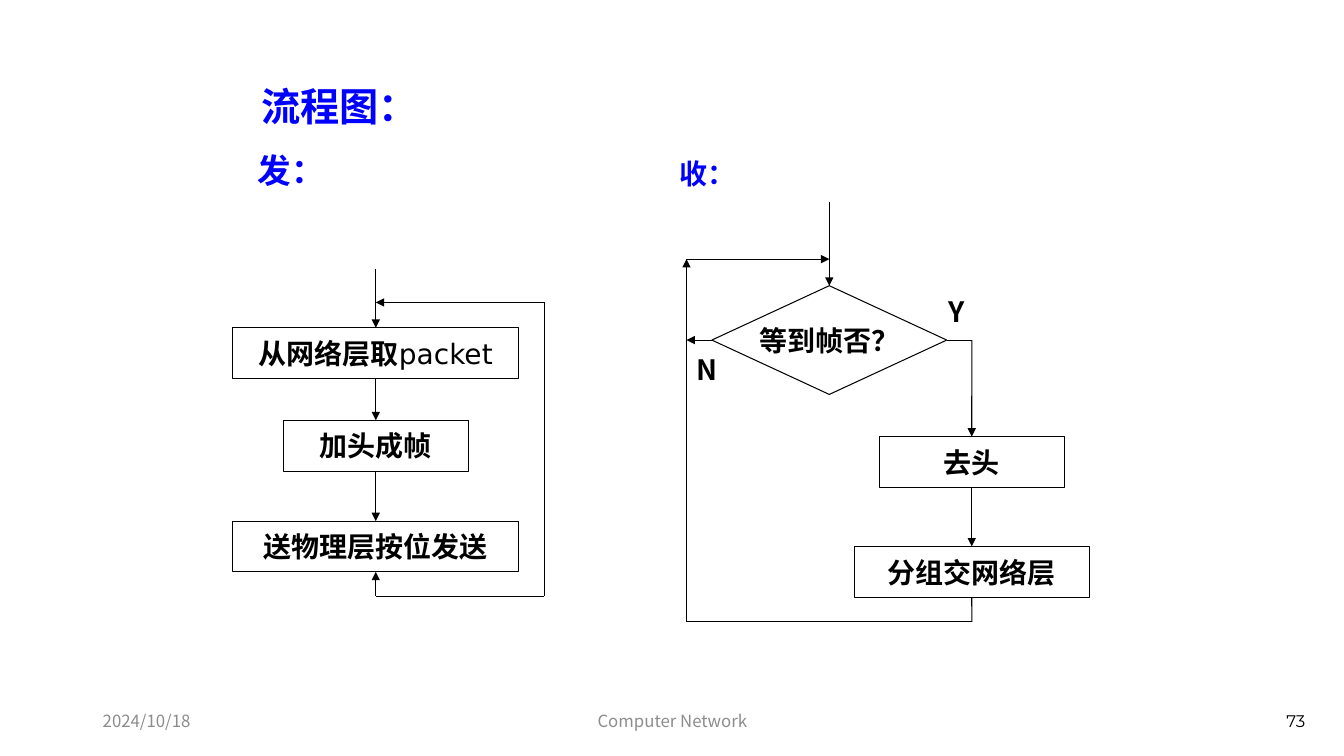
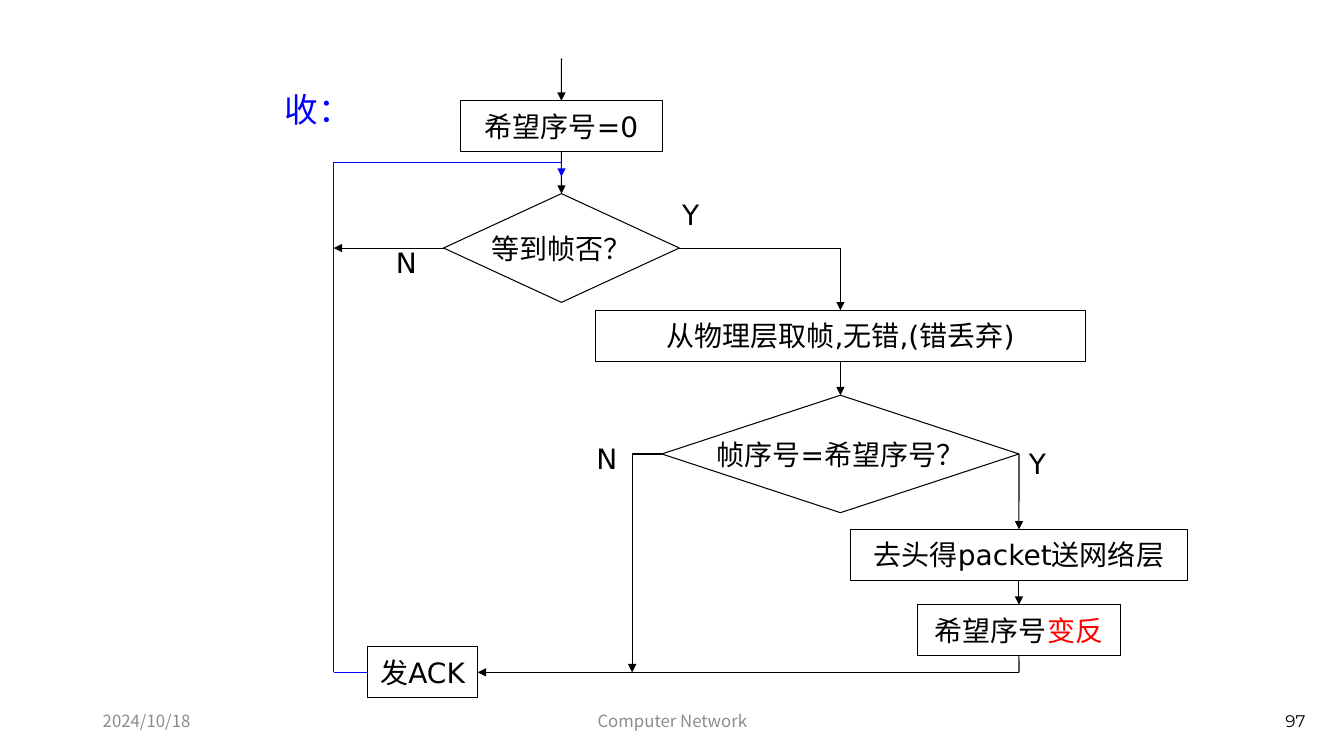
from lxml import etree
from pptx import Presentation, util as u
from pptx.dml.color import RGBColor
from pptx.enum import shapes, text
from pptx.oxml import ns

Cm = u.Cm
BLACK = RGBColor(0, 0, 0)
BLUE = RGBColor(0, 0, 255)
RED = RGBColor(255, 0, 0)
GREY = RGBColor(0x8C, 0x8C, 0x8C)
NOTO, DEJA = "Noto Sans CJK SC", "DejaVu Sans"
STEP = shapes.MSO_SHAPE.FLOWCHART_PROCESS
TEST = shapes.MSO_SHAPE.FLOWCHART_DECISION
RHOMB = shapes.MSO_SHAPE.DIAMOND
LEFT, MID, RIGHT = text.PP_ALIGN.LEFT, text.PP_ALIGN.CENTER, text.PP_ALIGN.RIGHT
TOP, CORE = text.MSO_ANCHOR.TOP, text.MSO_ANCHOR.MIDDLE
SIDES = [(0.5, 0), (0, 0.5), (0.5, 1), (1, 0.5)]  # top, left, bottom, right
HIGH = 1.28  # height of a process box


def put(slide, words, x, y, w, h, kind=None, font=NOTO, size=20, color=BLACK,
        bold=False, align=LEFT, anchor=TOP, pad=None, more=None):
    """Write words in a text box, or in an outlined shape of the given kind.

    more is an optional second run: (words, color, bold).
    """
    place = Cm(x), Cm(y), Cm(w), Cm(h)
    if kind is None:
        box = slide.shapes.add_textbox(*place)
    else:
        box = slide.shapes.add_shape(kind, *place)
        box.shadow.inherit = False
        box.fill.background()
        box.line.color.rgb = BLACK
        box.line.width = u.Pt(0.75)
        align, anchor = MID, CORE
    frame = box.text_frame
    frame.word_wrap = False
    frame.vertical_anchor = anchor
    if pad is not None:
        frame.margin_left = frame.margin_right = Cm(pad)
        frame.margin_top = frame.margin_bottom = Cm(pad)
    para = frame.paragraphs[0]
    para.alignment = align
    for part, tint, heavy in [(words, color, bold)] + ([more] if more else []):
        run = para.add_run()
        run.text = part
        run.font.size = u.Pt(size)
        run.font.bold = heavy
        run.font.color.rgb = tint
        run.font.name = font
        east = etree.SubElement(run.font._element, ns.qn("a:ea"))
        east.set("typeface", NOTO)
    return box


def link(slide, *stops, color=BLACK, head=False):
    """Draw a route with an arrow at its end; a stop is (x, y) or (shape, side)."""
    spots = []
    for a, b in stops:
        if hasattr(a, "shape_id"):
            fx, fy = SIDES[b]
            spots.append((int(a.left + a.width * fx), int(a.top + a.height * fy)))
        else:
            spots.append((Cm(a), Cm(b)))
    last = len(stops) - 2
    for i in range(last + 1):
        line = slide.shapes.add_connector(
            shapes.MSO_CONNECTOR.STRAIGHT, *spots[i], *spots[i + 1])
        if hasattr(stops[i][0], "shape_id"):
            line.begin_connect(*stops[i])
        if hasattr(stops[i + 1][0], "shape_id"):
            line.end_connect(*stops[i + 1])
        line.line.color.rgb = color
        line.line.width = u.Pt(0.75)
        props = line._element.spPr
        edge = props.find(ns.qn("a:ln"))
        if head and i == 0:
            etree.SubElement(edge, ns.qn("a:headEnd")).set("type", "triangle")
        if i == last:
            etree.SubElement(edge, ns.qn("a:tailEnd")).set("type", "triangle")
        etree.SubElement(props, ns.qn("a:effectLst"))


deck = Presentation()
deck.slide_width, deck.slide_height = Cm(33.87), Cm(19.05)

# Slides and their shared footer
pages = []
for number in ("73", "97"):
    page = deck.slides.add_slide(deck.slide_layouts[6])
    pages.append(page)
    for words, x, w, align, font, color in [
            ("2024/10/18", 2.34, 7.62, LEFT, NOTO, GREY),
            ("Computer Network", 11.23, 11.43, MID, NOTO, GREY),
            (number, 23.93, 9.22, RIGHT, "Montserrat", BLACK)]:
        put(page, words, x, 17.65, w, 1.02, font=font, size=12, color=color,
            align=align, anchor=CORE)
first, second = pages

# Slide 1: headings and labels
put(first, "流程图：", 6.58, 2.08, 6.55, 1.19, font="Arial", size=28,
    color=BLUE, bold=True, pad=0)
for words, x, y, w, h, size, color in [
        ("发：", 6.25, 3.66, 2.21, 1.27, 24, BLUE),
        ("收：", 16.87, 3.81, 1.93, 1.09, 20, BLUE),
        ("Y", 23.65, 7.29, 0.97, 1.12, 20, BLACK),
        ("N", 17.3, 8.76, 1.12, 1.12, 20, BLACK)]:
    put(first, words, x, y, w, h, size=size, color=color, bold=True)

# Slide 1: boxes by centre, top, width and height
boxes = []
for words, mid, y, w, h, kind, font, more in [
        ("从网络层取", 9.47, 8.26, 7.2, HIGH, STEP, DEJA, ("packet", BLACK, False)),
        ("加头成帧", 9.47, 10.59, 4.66, HIGH, STEP, NOTO, None),
        ("送物理层按位发送", 9.47, 13.13, 7.2, HIGH, STEP, NOTO, None),
        ("等到帧否？", 20.9, 7.2, 5.92, 2.74, TEST, NOTO, None),
        ("去头", 24.49, 11, 4.66, HIGH, STEP, NOTO, None),
        ("分组交网络层", 24.49, 13.77, 5.92, HIGH, STEP, NOTO, None)]:
    boxes.append(put(first, words, mid - w / 2, y, w, h, kind=kind, font=font,
                     bold=True, more=more))
fetch, wrap, send, wait, strip, pass_up = boxes

# Slide 1: sender flow
link(first, (9.47, 6.78), (fetch, 0))
link(first, (fetch, 2), (wrap, 0))
link(first, (wrap, 2), (send, 0))
link(first, (send, 2), (9.47, 15.02), (13.72, 15.02), (13.72, 7.62),
     (9.47, 7.62), head=True)

# Slide 1: receiver flow
link(first, (20.9, 5.08), (wait, 0))
link(first, (wait, 1), (17.3, 8.57))
link(first, (wait, 3), (24.49, 8.57), (strip, 0))
link(first, (strip, 2), (pass_up, 0))
link(first, (pass_up, 2), (24.49, 15.67), (17.3, 15.67), (17.3, 6.53))
link(first, (17.3, 6.53), (20.9, 6.53))

# Slide 2: heading and labels
put(second, "收：", 6.93, 2.11, 2.21, 1.27, font=DEJA, size=24, color=BLUE)
for words, x, y in [("Y", 16.94, 4.85), ("N", 9.73, 6.07),
                    ("N", 14.78, 11), ("Y", 25.68, 11.13)]:
    put(second, words, x, y, 1.04, 1.09, font=DEJA)

# Slide 2: boxes by centre, top, width and height
boxes = []
for words, mid, y, w, h, kind, more in [
        ("希望序号=0", 14.15, 2.54, 5.1, HIGH, STEP, None),
        ("等到帧否？", 14.15, 4.88, 5.94, 2.74, TEST, None),
        ("从物理层取帧,无错,(错丢弃)", 21.18, 7.82, 12.34, HIGH, STEP, None),
        ("帧序号=希望序号？", 21.18, 9.96, 9, 2.96, RHOMB, None),
        ("去头得packet送网络层", 25.68, 13.34, 8.48, HIGH, STEP, None),
        ("希望序号", 25.68, 15.24, 5.1, HIGH, STEP, ("变反", RED, False)),
        ("发ACK", 10.65, 16.3, 2.78, HIGH, STEP, None)]:
    boxes.append(put(second, words, mid - w / 2, y, w, h, kind=kind, font=DEJA,
                     more=more))
init, wait, fetch, match, strip, turn, ack = boxes

# Slide 2: receiver flow
link(second, (14.15, 1.47), (init, 0))
link(second, (init, 2), (wait, 0))
link(second, (wait, 1), (8.41, 6.25))
link(second, (wait, 3), (21.18, 6.25), (fetch, 0))
link(second, (fetch, 2), (match, 0))
link(second, (match, 1), (15.93, 11.44), (15.93, 16.94))
link(second, (match, 3), (strip, 0))
link(second, (strip, 2), (turn, 0))
link(second, (turn, 2), (25.68, 16.94), (ack, 3))
link(second, (ack, 1), (8.41, 16.94), (8.41, 4.09), (14.15, 4.09),
     (14.15, 4.45), color=BLUE)

deck.save("out.pptx")
